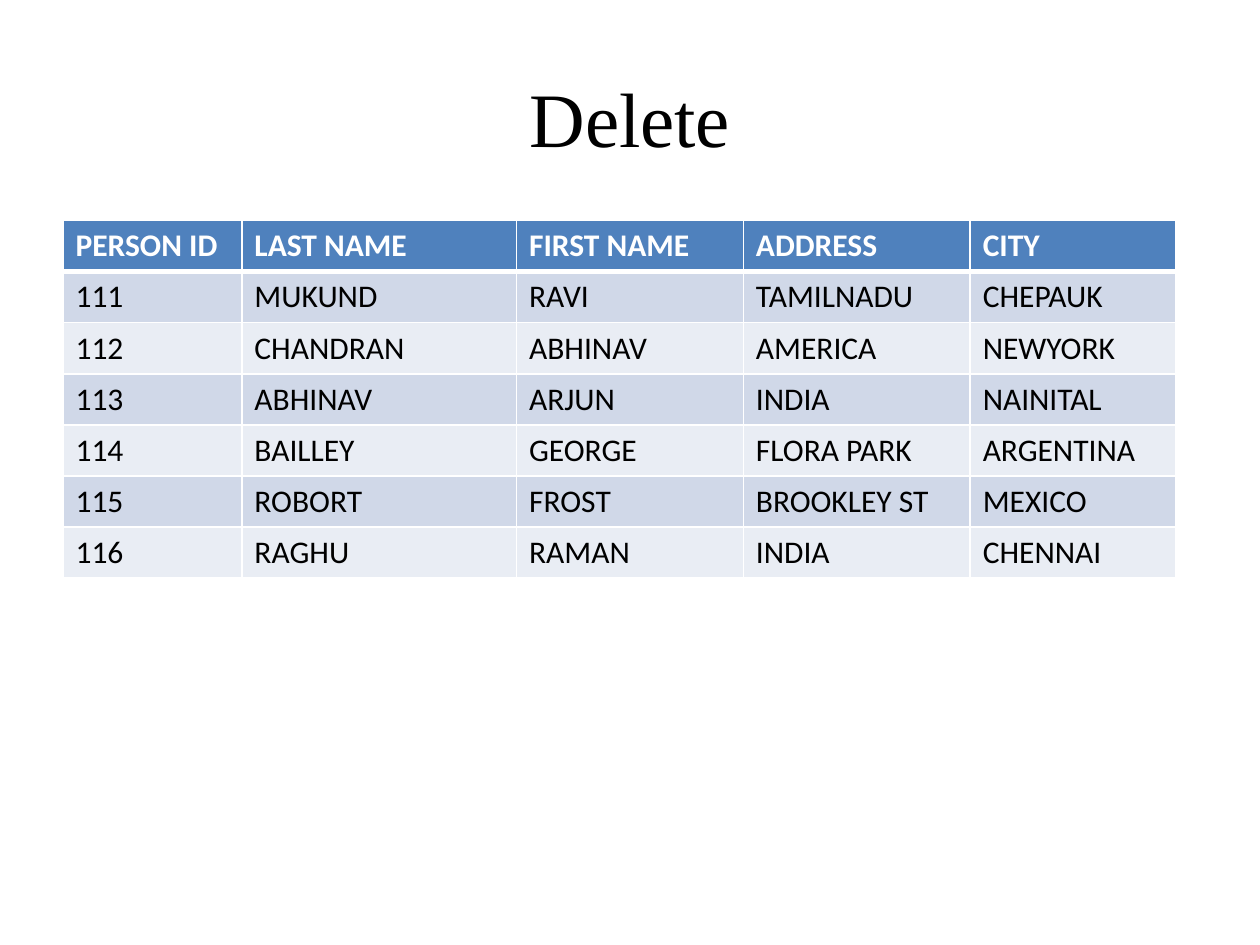
from lxml.etree import SubElement
from pptx import Presentation
from pptx.dml.color import RGBColor
from pptx.enum.text import MSO_ANCHOR, PP_ALIGN
from pptx.oxml.ns import qn
from pptx.util import Inches, Pt

COLUMN_WIDTHS = (1.42, 2.18, 1.8, 1.8, 1.63)
PEOPLE = (
    ("PERSON ID", "LAST NAME", "FIRST NAME", "ADDRESS", "CITY"),
    ("111", "MUKUND", "RAVI", "TAMILNADU", "CHEPAUK"),
    ("112", "CHANDRAN", "ABHINAV", "AMERICA", "NEWYORK"),
    ("113", "ABHINAV", "ARJUN", "INDIA", "NAINITAL"),
    ("114", "BAILLEY", "GEORGE", "FLORA PARK", "ARGENTINA"),
    ("115", "ROBORT", "FROST", "BROOKLEY ST", "MEXICO"),
    ("116", "RAGHU", "RAMAN", "INDIA", "CHENNAI"),
)


def color(value):
    return RGBColor.from_string(value)


class Deck:
    """Holds the style and the current slide, and adds its elements."""

    title_font, body_font = "Times New Roman", "Calibri"
    ink, paper, header = "000000", "FFFFFF", "4F81BD"
    bands = ("E9EDF4", "D0D8E8")

    def __init__(self, width, height):
        self.presentation = Presentation()
        self.presentation.slide_width = Inches(width)
        self.presentation.slide_height = Inches(height)
        self.slide = self.presentation.slides.add_slide(self.presentation.slide_layouts[5])
        self.slide.background.fill.solid()
        self.slide.background.fill.fore_color.rgb = color(self.paper)

    def add_text(self, paragraph, text, font, size, ink, bold=False):
        run = paragraph.add_run()
        run.text = text
        run.font.name, run.font.size, run.font.bold = font, Pt(size), bold
        run.font.color.rgb = color(ink)

    def title(self, text, left, top, width, height):
        heading = self.slide.shapes.title
        heading.left, heading.top = Inches(left), Inches(top)
        heading.width, heading.height = Inches(width), Inches(height)
        heading.text_frame.vertical_anchor = MSO_ANCHOR.MIDDLE
        paragraph = heading.text_frame.paragraphs[0]
        paragraph.alignment = PP_ALIGN.CENTER
        self.add_text(paragraph, text, self.title_font, 44, self.ink)

    def borders(self, cell, **points):
        properties = cell._tc.get_or_add_tcPr()
        for side in "LRTB":
            line = SubElement(properties, qn(f"a:ln{side}"), w=str(Pt(points.get(side, 1))))
            fill = SubElement(line, qn("a:solidFill"))
            SubElement(fill, qn("a:srgbClr"), val=self.paper)

    def cell(self, cell, text, row):
        is_header = row == 0
        self.borders(cell, T=3 if row == 1 else 1, B=3 if is_header else 1)
        cell.fill.solid()
        cell.fill.fore_color.rgb = color(self.header if is_header else self.bands[row % 2])
        ink = self.paper if is_header else self.ink
        self.add_text(cell.text_frame.paragraphs[0], text, self.body_font, 18, ink, is_header)

    def table(self, records, widths, left, top, height):
        table = self.slide.shapes.add_table(
            len(records), len(widths), Inches(left), Inches(top),
            Inches(sum(widths)), Inches(height),
        ).table
        for column, width in zip(table.columns, widths):
            column.width = Inches(width)
        for row, record in enumerate(records):
            for column, text in enumerate(record):
                self.cell(table.cell(row, column), text, row)


def main():
    deck = Deck(10, 7.5)
    deck.title("Delete", 0.5, 0.3, 9, 1.25)
    deck.table(PEOPLE, COLUMN_WIDTHS, 0.5, 1.75, 2.84)
    deck.presentation.save("out.pptx")


if __name__ == "__main__":
    main()
